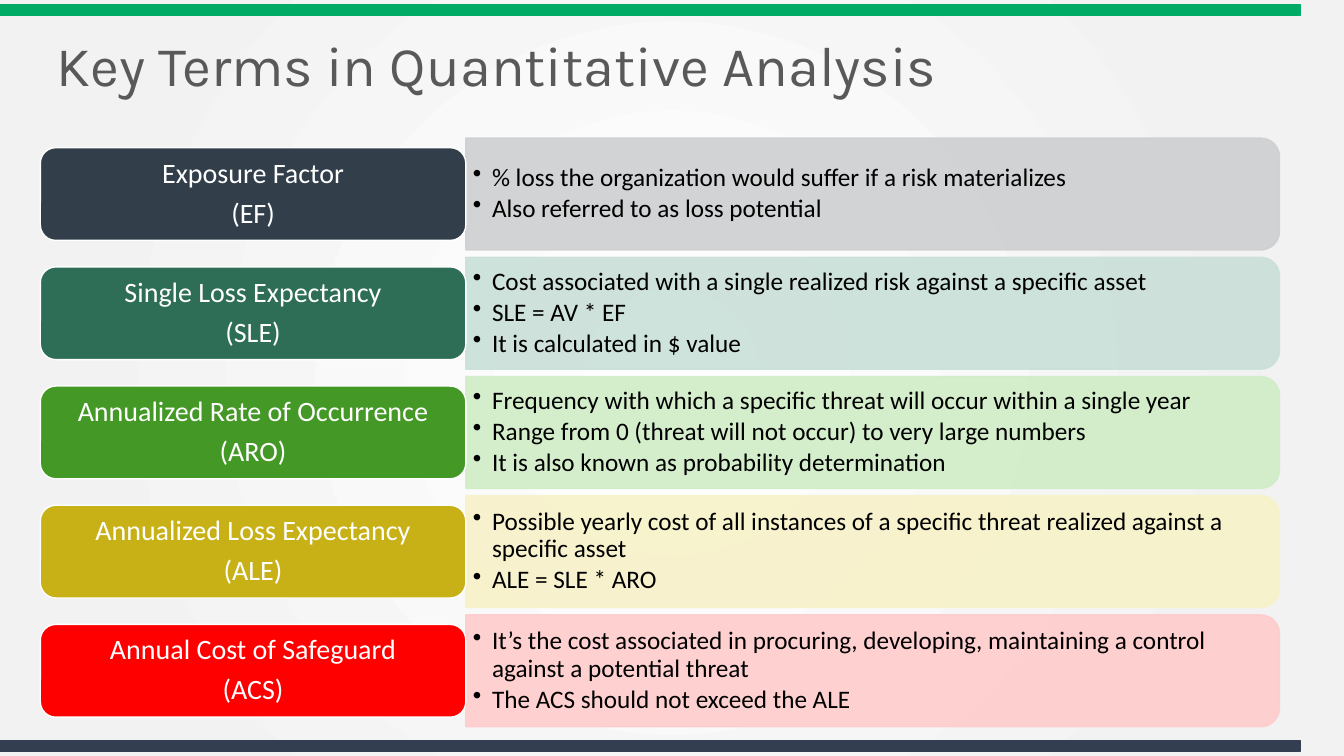
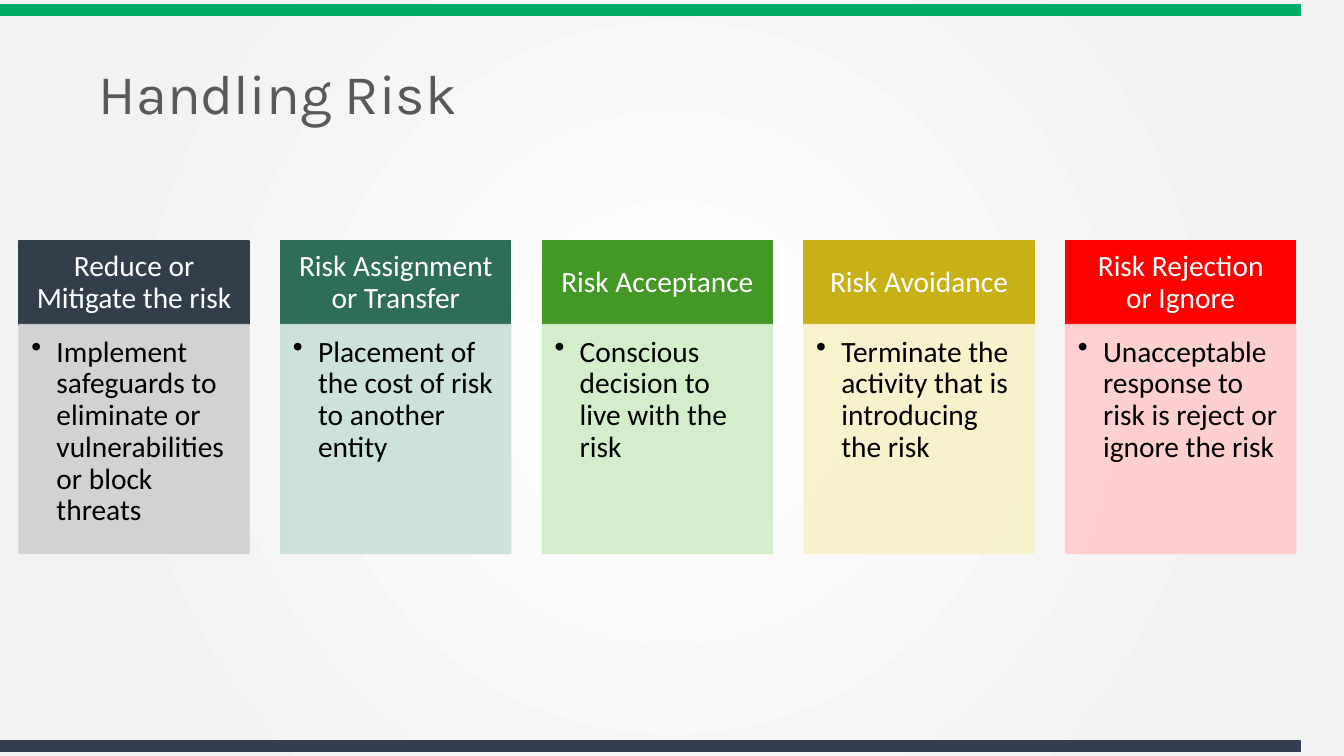
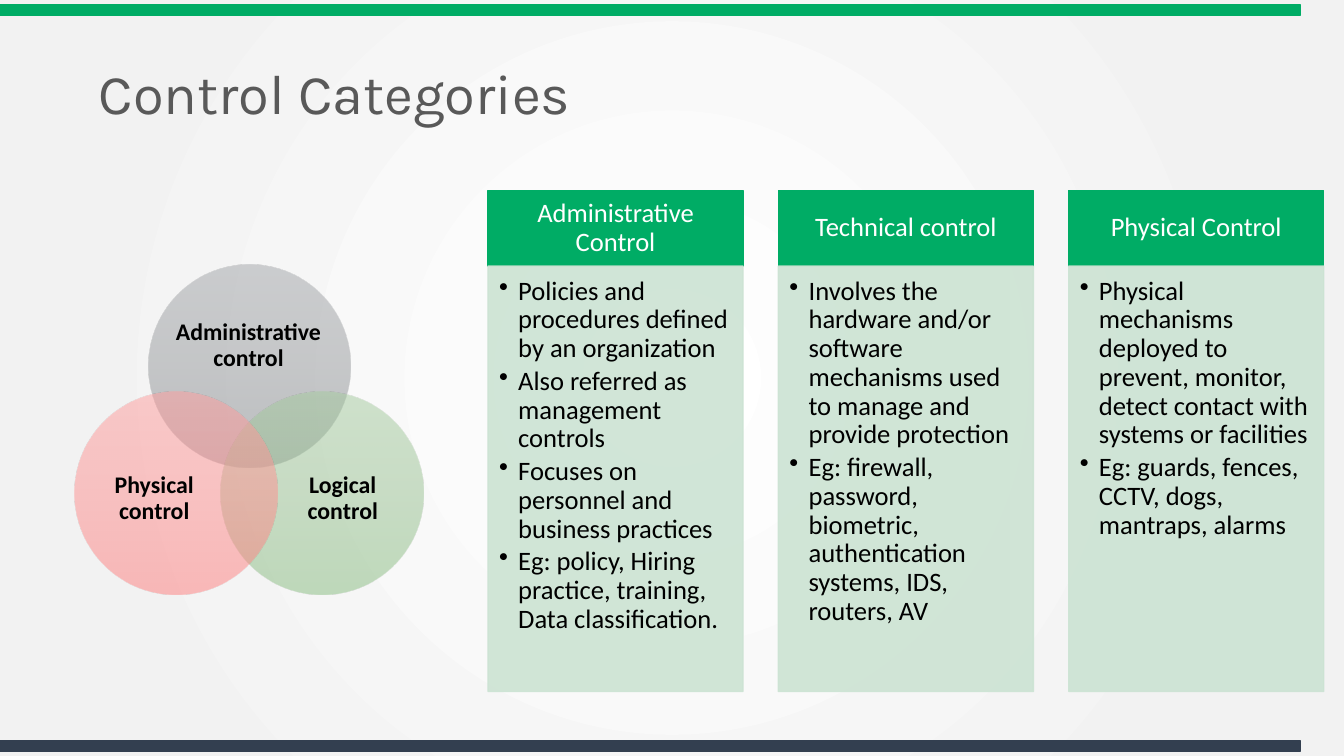
import pptx
import pptx.util
import pptx.dml.color
import pptx.enum.shapes
import pptx.enum.text
import pptx.oxml
import pptx.oxml.ns

Inches = pptx.util.Inches
Pt = pptx.util.Pt
SHAPE = pptx.enum.shapes.MSO_SHAPE
ALIGN = pptx.enum.text.PP_ALIGN
ANCHOR = pptx.enum.text.MSO_ANCHOR
qn = pptx.oxml.ns.qn

COLORS = {
    "green": "00AC65", "mint": "CCE3D3", "slate": "333F50", "title": "595959",
    "white": "FFFFFF", "black": "000000", "paper": "F2F2F2",
}
THEMES = [
    ("323F4B", "CECFD0"), ("2F6E56", "C9E0D8"), ("449826", "D0EDC7"),
    ("C8B116", "F7F2C8"), ("FF0000", "FFCCCC"),
]
RADIAL = '<a:path path="circle"><a:fillToRect l="50000" t="50000" r="50000" b="50000"/></a:path>'
VERTICAL = '<a:lin ang="5400000" scaled="0"/>'
TITLE_BOX = (0.88, 0.56, 11.7, 0.8)

TERMS = [
    (["Exposure Factor", "(EF)"],
     ["% loss the organization would suffer if a risk materializes",
      "Also referred to as loss potential"]),
    (["Single Loss Expectancy", "(SLE)"],
     ["Cost associated with a single realized risk against a specific asset",
      "SLE = AV * EF",
      "It is calculated in $ value"]),
    (["Annualized Rate of Occurrence", "(ARO)"],
     ["Frequency with which a specific threat will occur within a single year",
      "Range from 0 (threat will not occur) to very large numbers",
      "It is also known as probability determination"]),
    (["Annualized Loss Expectancy", "(ALE)"],
     ["Possible yearly cost of all instances of a specific threat realized against a specific asset",
      "ALE = SLE * ARO"]),
    (["Annual Cost of Safeguard", "(ACS)"],
     ["It’s the cost associated in procuring, developing, maintaining a control against a potential threat",
      "The ACS should not exceed the ALE"]),
]
RESPONSES = [
    ("Reduce or Mitigate the risk",
     ["Implement safeguards to eliminate or vulnerabilities or block threats"]),
    ("Risk Assignment or Transfer", ["Placement of the cost of risk to another entity"]),
    ("Risk Acceptance", ["Conscious decision to live with the risk"]),
    ("Risk Avoidance", ["Terminate the activity that is introducing the risk"]),
    ("Risk Rejection or Ignore", ["Unacceptable response to risk is reject or ignore the risk"]),
]
CONTROLS = [
    ("Administrative Control",
     ["Policies and procedures defined by an organization",
      "Also referred as management controls",
      "Focuses on personnel and business practices",
      "Eg: policy, Hiring practice, training, Data classification."]),
    ("Technical control",
     ["Involves the hardware and/or software mechanisms used to manage and provide protection",
      "Eg: firewall, password, biometric, authentication systems, IDS, routers, AV"]),
    ("Physical Control",
     ["Physical mechanisms deployed to prevent, monitor, detect contact with systems or facilities",
      "Eg: guards, fences, CCTV, dogs, mantraps, alarms"]),
]
CIRCLES = [
    ("Administrative control", (0.73, 0), (0.99, 0.35, 1.47, 0.9), ["A1A4A8", "95989B", "81868B"]),
    ("Logical control", (1.45, 1.26), (2.06, 1.77, 1.2, 1.1), ["A5CB9F", "99C192", "86BB7E"]),
    ("Physical control", (0, 1.26), (0.19, 1.77, 1.2, 1.1), ["FF9E9E", "FF9090", "FF7C7C"]),
]


def apply(obj, values):
    for name, value in values.items():
        setattr(obj, name, value)


def rgb(color):
    return pptx.dml.color.RGBColor.from_string(color)


def place(box):
    return [Inches(v) for v in box]


def set_alpha(fill, percent):
    color = fill._xPr.find(".//" + qn("a:srgbClr"))
    color.append(pptx.oxml.parse_xml(
        f'<a:alpha {pptx.oxml.ns.nsdecls("a")} val="{percent * 1000}"/>'))


def set_gradient(fill, colors, shading, middle, percent=100):
    stops = "".join(
        f'<a:gs pos="{pos * 1000}"><a:srgbClr val="{c}"><a:alpha val="{percent * 1000}"/></a:srgbClr></a:gs>'
        for pos, c in zip((0, middle, 100), colors))
    fill.solid()
    parent = fill._xPr
    parent.replace(parent.find(qn("a:solidFill")), pptx.oxml.parse_xml(
        f'<a:gradFill {pptx.oxml.ns.nsdecls("a")} rotWithShape="1">'
        f'<a:gsLst>{stops}</a:gsLst>{shading}</a:gradFill>'))


def add_block(s, kind, box, color, line=None, alpha=None):
    sp = s.shapes.add_shape(kind, *place(box))
    sp.shadow.inherit = False
    sp.line.width = Pt(1)
    for fill, tone in ((sp.fill, color), (sp.line.fill, line or color)):
        fill.solid()
        fill.fore_color.rgb = rgb(tone)
        if alpha:
            set_alpha(fill, alpha)
    return sp


def write(sp, lines, size, color="black", font="Calibri", bold=False, align=ALIGN.CENTER,
          anchor=ANCHOR.MIDDLE, insets=(0.1, 0.05, 0.1, 0.05), after=0.35, indent=0):
    tf = sp.text_frame
    sides = ("margin_left", "margin_top", "margin_right", "margin_bottom")
    apply(tf, {"word_wrap": True, "auto_size": pptx.enum.text.MSO_AUTO_SIZE.NONE,
               "vertical_anchor": anchor, **dict(zip(sides, place(insets)))})
    for i, text in enumerate(lines):
        p = tf.paragraphs[0] if i == 0 else tf.add_paragraph()
        apply(p, {"alignment": align, "line_spacing": 0.9,
                  "space_before": Pt(0), "space_after": Pt(size * after)})
        r = p.add_run()
        r.text = text
        apply(r.font, {"size": Pt(size), "name": font, "bold": bold})
        r.font.color.rgb = rgb(COLORS[color])
        if indent:
            pPr = p._p.get_or_add_pPr()
            pPr.set("marL", str(Inches(indent)))
            pPr.set("indent", str(-Inches(indent)))
            pPr.append(pptx.oxml.parse_xml(
                f'<a:buChar {pptx.oxml.ns.nsdecls("a")} char="•"/>'))


def write_bullets(sp, lines, size, indent, **formats):
    write(sp, lines, size, align=ALIGN.LEFT, after=0.15, indent=indent, **formats)


def add_text(s, box):
    return s.shapes.add_textbox(*place(box))


def add_titled_slide(prs, title, box=TITLE_BOX):
    s = prs.slides.add_slide(prs.slide_layouts[5])
    sp = s.shapes.title
    apply(sp, dict(zip(("left", "top", "width", "height"), place(box))))
    write(sp, [title], 40, "title", font="Karla", align=ALIGN.LEFT, after=0)
    return s


def style_master(prs, s):
    master = prs.slide_master
    set_gradient(master.background.fill,
                 [COLORS["white"], COLORS["paper"], COLORS["paper"]], RADIAL, 81)
    for top, color in ((0.05, "green"), (7.35, "slate")):
        band = add_block(s, SHAPE.RECTANGLE, (0, top, 12.9, 0.1), COLORS[color])
        master.shapes._spTree.append(band._element)


def add_term_rows(s, box, terms):
    left, top, width, height = box
    panel_h, tab_w, tab_h = 1.11, 4.22, 0.92
    panel_w = width - tab_w
    pitch = (height - panel_h) / (len(terms) - 1)
    for i, ((heading, details), (dark, pale)) in enumerate(zip(terms, THEMES)):
        y = top + i * pitch
        middle = y + panel_h / 2
        x = left + tab_w
        turned = (x + (panel_w - panel_h) / 2, middle - panel_w / 2, panel_h, panel_w)
        panel = add_block(s, SHAPE.ROUND_2_SAME_RECTANGLE, turned, pale, alpha=90)
        panel.rotation = 90
        write_bullets(add_text(s, (x, middle - 0.5, panel_w - 0.05, 1)), details, 18, 0.19,
                      insets=(0.07, 0.04, 0.07, 0.04))
        tab = add_block(s, SHAPE.ROUNDED_RECTANGLE, (left, middle - tab_h / 2, tab_w, tab_h),
                        dark, COLORS["white"])
        write(tab, heading, 20, "white", insets=(0.08, 0.04, 0.08, 0.04))


def add_columns(s, box, columns, themes, col_w, head_h, size, pad, indent):
    left, top, width, height = box
    pitch = (width - col_w) / (len(columns) - 1)
    for i, ((heading, details), (dark, pale)) in enumerate(zip(columns, themes)):
        x = left + i * pitch
        head = add_block(s, SHAPE.RECTANGLE, (x, top, col_w, head_h), dark)
        write(head, [heading], size, "white", insets=(pad, pad - 0.07, pad, pad - 0.07))
        body = add_block(s, SHAPE.RECTANGLE, (x, top + head_h, col_w, height - head_h),
                         pale, alpha=90)
        write_bullets(body, details, size, indent, anchor=ANCHOR.TOP,
                      insets=(pad - 0.04, pad - 0.04, pad, pad + 0.02))


def add_venn(s, box, circles):
    left, top, diameter = box
    for label, (dx, dy), (tx, ty, tw, th), colors in circles:
        sp = s.shapes.add_shape(
            SHAPE.OVAL, *place((left + dx, top + dy, diameter, diameter)))
        sp.shadow.inherit = False
        sp.line.fill.background()
        set_gradient(sp.fill, colors, VERTICAL, 50, 50)
        write(add_text(s, (left + tx, top + ty, tw, th)), [label], 17, bold=True,
              insets=(0, 0, 0, 0))


def main():
    prs = pptx.Presentation()
    apply(prs, {"slide_width": Inches(13.33), "slide_height": Inches(7.5)})

    s = add_titled_slide(prs, "Key Terms in Quantitative Analysis", (0.46, 0.28, 11.7, 0.8))
    style_master(prs, s)
    add_term_rows(s, (0.4, 1.37, 12.29, 5.84), TERMS)

    s = add_titled_slide(prs, "Handling Risk")
    add_columns(s, (0.19, 2.39, 12.66, 3.1), RESPONSES, THEMES,
                col_w=2.28, head_h=0.83, size=21, pad=0.16, indent=0.25)

    s = add_titled_slide(prs, "Control Categories")
    add_venn(s, (0.74, 2.63, 2.01), CIRCLES)
    add_columns(s, (4.84, 1.89, 8.29, 4.97), CONTROLS,
                [(COLORS["green"], COLORS["mint"])] * len(CONTROLS),
                col_w=2.53, head_h=0.75, size=19, pad=0.15, indent=0.19)

    prs.save("out.pptx")


main()
